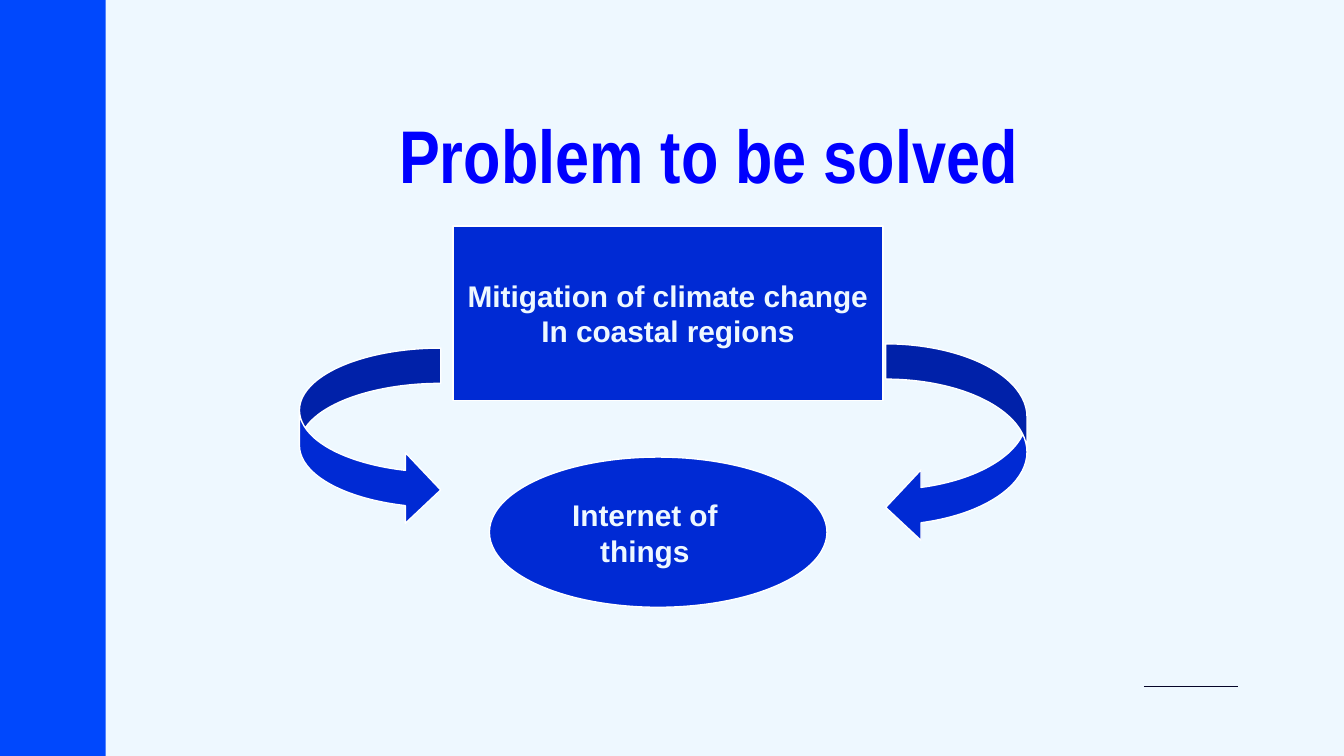
from dataclasses import dataclass

from lxml import etree
from pptx import Presentation
from pptx.dml.color import RGBColor
from pptx.enum.shapes import MSO_CONNECTOR, MSO_SHAPE
from pptx.enum.text import MSO_ANCHOR, PP_ALIGN
from pptx.oxml.ns import qn
from pptx.util import Cm, Pt

RECTANGLE = MSO_SHAPE.RECTANGLE
ELLIPSE = MSO_SHAPE.FLOWCHART_CONNECTOR
RIGHT_ARROW = MSO_SHAPE.CURVED_RIGHT_ARROW
LEFT_ARROW = MSO_SHAPE.CURVED_LEFT_ARROW
STRAIGHT = MSO_CONNECTOR.STRAIGHT
CENTER = PP_ALIGN.CENTER
MIDDLE = MSO_ANCHOR.MIDDLE

PALE = "EEF8FF"
BLUE = "002AD4"
INSET = 0.25


@dataclass
class Block:
    kind: MSO_SHAPE
    left: float
    top: float
    width: float
    height: float
    text: str = ""
    right_inset: float = INSET
    fill: str = BLUE
    outline: str = "FFFFFF"


BLOCKS = [
    Block(RECTANGLE, 8.56, 4.27, 8.13, 3.3,
          "Mitigation of climate change\nIn coastal regions"),
    Block(RIGHT_ARROW, 5.66, 6.58, 2.67, 3.35),
    Block(ELLIPSE, 9.25, 8.64, 6.38, 2.84, "Internet of things", 0.75),
    Block(LEFT_ARROW, 16.74, 6.5, 2.67, 3.76),
]


def color(value: str) -> RGBColor:
    return RGBColor.from_string(value)


def format_text(box, size: float, font: str, ink: str, right_inset: float) -> None:
    frame = box.text_frame
    frame.word_wrap = True
    frame.vertical_anchor = MIDDLE
    frame.margin_left = frame.margin_top = frame.margin_bottom = Cm(INSET)
    frame.margin_right = Cm(right_inset)
    for paragraph in frame.paragraphs:
        paragraph.alignment = CENTER
        for span in paragraph.runs:
            span.font.size = Pt(size)
            span.font.name = font
            span.font.bold = True
            span.font.color.rgb = color(ink)


def draw_block(page, block: Block) -> None:
    box = page.shapes.add_shape(block.kind, Cm(block.left), Cm(block.top),
                                Cm(block.width), Cm(block.height))
    box.shadow.inherit = False
    box.fill.solid()
    box.fill.fore_color.rgb = color(block.fill)
    if block.outline:
        box.line.color.rgb = color(block.outline)
        box.line.width = Pt(0.75)
    else:
        box.line.fill.background()
    if block.text:
        box.text_frame.text = block.text
        format_text(box, 16, "Arial", PALE, block.right_inset)


def draw_rule(page, left: float, right: float, top: float) -> None:
    rule = page.shapes.add_connector(STRAIGHT, Cm(left), Cm(top), Cm(right), Cm(top))
    rule.line.color.rgb = color("050528")
    rule.line.width = Pt(0.75)
    etree.SubElement(rule._element.spPr, qn("a:effectLst"))


def place_title(page, text: str) -> None:
    title = page.shapes.title
    title.left, title.top = Cm(1.73), Cm(2.11)
    title.width, title.height = Cm(23.67), Cm(1.6)
    title.text_frame.text = text
    format_text(title, 40, "Arial Narrow", "0000FF", 0.6)


def main() -> None:
    deck = Presentation()
    deck.slide_width, deck.slide_height = Cm(25.4), Cm(14.29)
    page = deck.slides.add_slide(deck.slide_layouts[5])
    page.background.fill.solid()
    page.background.fill.fore_color.rgb = color(PALE)
    draw_block(page, Block(RECTANGLE, -0.05, 0, 2.05, 14.29, fill="0048FD", outline=""))
    draw_rule(page, 21.62, 23.39, 12.98)
    place_title(page, "Problem to be solved")
    for block in BLOCKS:
        draw_block(page, block)
    deck.save("out.pptx")


if __name__ == "__main__":
    main()
